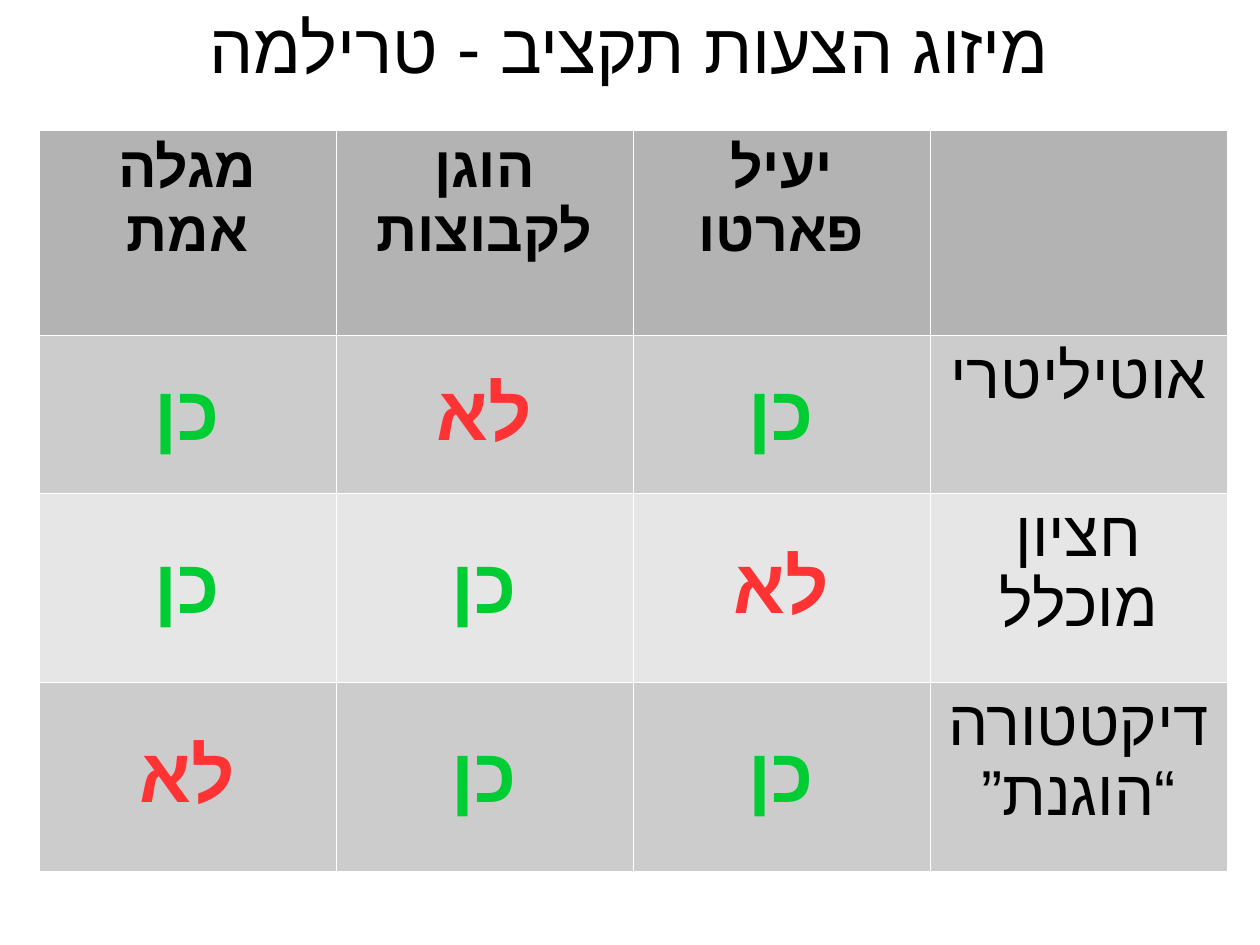
import pptx
import pptx.util
import pptx.dml.color
import pptx.enum.text
import lxml.etree

PX = 8000
RGB = pptx.dml.color.RGBColor
BLACK = RGB(0, 0, 0)
GREEN = RGB(0x00, 0xCC, 0x33)
RED = RGB(0xFF, 0x33, 0x33)
HEAD = RGB(0xB3, 0xB3, 0xB3)
DARK = RGB(0xCC, 0xCC, 0xCC)
LIGHT = RGB(0xE6, 0xE6, 0xE6)
WHITE = RGB(0xFF, 0xFF, 0xFF)
TOP = pptx.enum.text.MSO_ANCHOR.TOP
MID = pptx.enum.text.MSO_ANCHOR.MIDDLE
NS = "{http://schemas.openxmlformats.org/drawingml/2006/main}"


def write(frame, text, size, color, bold):
    para = frame.paragraphs[0]
    para.alignment = pptx.enum.text.PP_ALIGN.CENTER
    para._p.get_or_add_pPr().set("rtl", "1")
    run = para.add_run()
    run.text = text
    form = {"size": pptx.util.Pt(size), "bold": bold, "name": "Arial"}
    for key, value in form.items():
        setattr(run.font, key, value)
    run.font.color.rgb = color
    lxml.etree.SubElement(run.font._element, NS + "cs", typeface="Arial")


def border(cell):
    props = cell._tc.get_or_add_tcPr()
    for spot, side in enumerate(("lnL", "lnR", "lnT", "lnB")):
        line = lxml.etree.Element(NS + side, w=str(pptx.util.Pt(0.06)))
        fill = lxml.etree.SubElement(line, NS + "solidFill")
        lxml.etree.SubElement(fill, NS + "srgbClr", val=str(WHITE))
        props.insert(spot, line)


deck = pptx.Presentation()
deck.slide_width = 1260 * PX
deck.slide_height = 945 * PX
slide = deck.slides.add_slide(deck.slide_layouts[6])

title = slide.shapes.add_textbox(0, -11 * PX, 1260 * PX, 114 * PX)
form = {"word_wrap": True, "vertical_anchor": MID, "margin_left": 0,
        "margin_right": 0, "margin_top": 0, "margin_bottom": 0}
for key, value in form.items():
    setattr(title.text_frame, key, value)
write(title.text_frame, "מיזוג הצעות תקציב - טרילמה", 44, BLACK, False)

rows = [
    (205, HEAD, ["מגלה אמת", "הוגן לקבוצות", "יעיל פארטו", ""]),
    (158, DARK, ["כן", "לא", "כן", "אוטיליטרי"]),
    (189, LIGHT, ["כן", "כן", "לא", "חציון מוכלל"]),
    (189, DARK, ["לא", "כן", "כן", "דיקטטורה “הוגנת”"]),
]
marks = {"כן": GREEN, "לא": RED}
high = sum(row[0] for row in rows)
table = slide.shapes.add_table(4, 4, 39 * PX, 130 * PX, 1188 * PX, high * PX).table
for col in table.columns:
    col.width = 297 * PX

for r, (tall, shade, words) in enumerate(rows):
    table.rows[r].height = tall * PX
    for c, word in enumerate(words):
        cell = table.cell(r, c)
        cell.fill.solid()
        cell.fill.fore_color.rgb = shade
        border(cell)
        cell.vertical_anchor = MID if word in marks else TOP
        size = 36 if r == 0 else 48 if word in marks else 40
        if word:
            write(cell.text_frame, word, size, marks.get(word, BLACK), c < 3)

deck.save("out.pptx")
